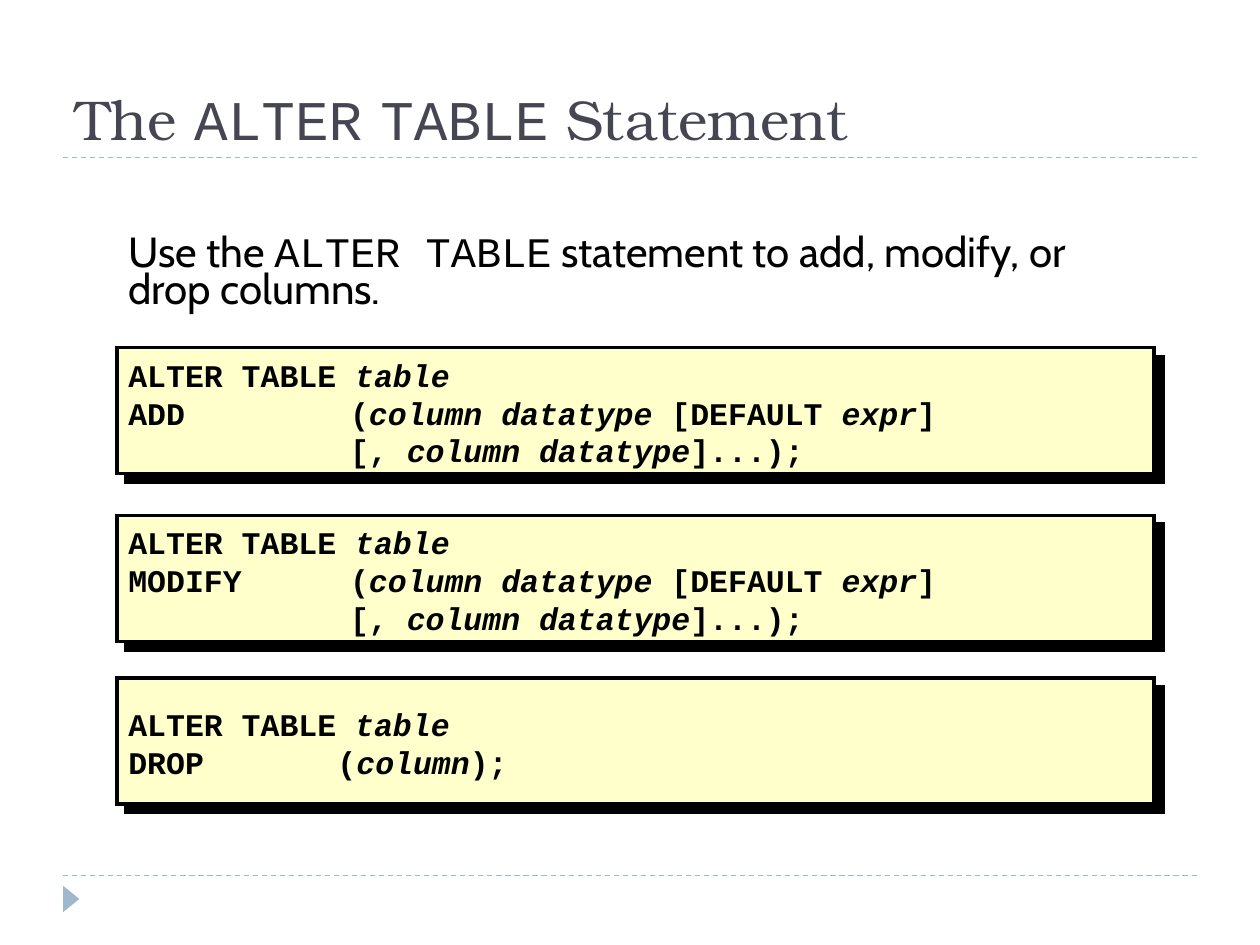
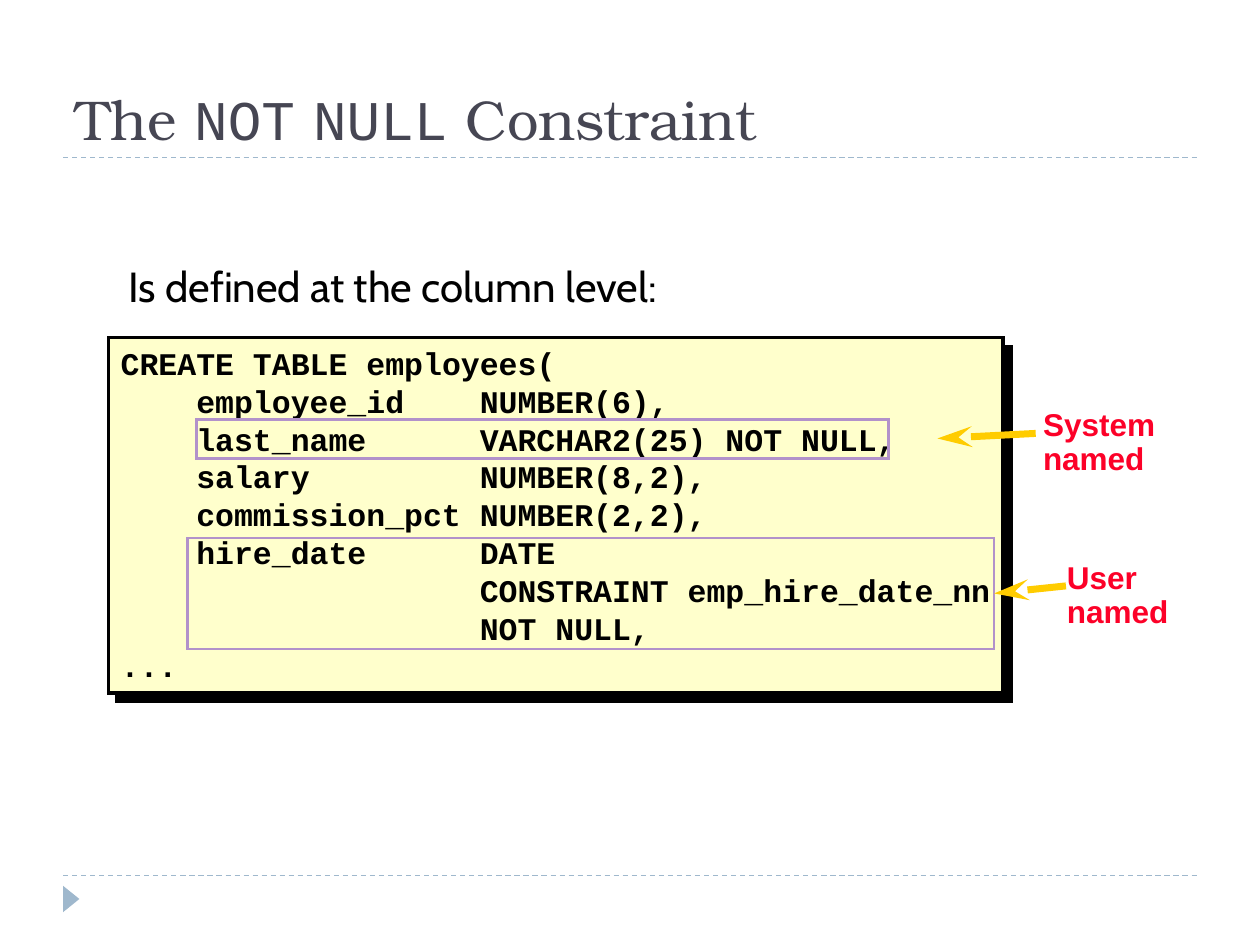
from dataclasses import dataclass

from lxml import etree
from pptx import Presentation
from pptx import util as u
from pptx.dml.color import RGBColor
from pptx.enum import dml, shapes, text
from pptx.oxml import ns


@dataclass(frozen=True)
class Theme:
    ink: str = "000000"
    heading: str = "464653"
    accent: str = "9FB8CD"
    panel: str = "FFFFCC"
    highlight: str = "B292CA"
    arrow: str = "FFCC00"
    callout: str = "FC0128"
    title_font: str = "TeX Gyre Bonum"
    body_font: str = "Cabin"
    code_font: str = "Courier New"
    label_font: str = "Arial"
    title_size: float = 32
    body_size: float = 24
    code_size: float = 18


def add_xml(parent, tag, **attributes):
    return etree.SubElement(parent, ns.qn(tag), attributes)


def inches(*lengths):
    return [u.Inches(length) for length in lengths]


def write(frame, content, *, font, size, color, bold=None, alternate=None,
          spacing=None, before=None, tabs=()):
    base = {"name": font, "size": u.Pt(size), "bold": bold}
    for index, line in enumerate(content.split("\n")):
        paragraph = frame.paragraphs[0] if index == 0 else frame.add_paragraph()
        paragraph.alignment = text.PP_ALIGN.LEFT
        if spacing is not None:
            paragraph.line_spacing = spacing
        if before is not None:
            paragraph.space_before = u.Pt(before)
        if tabs:
            stops = add_xml(paragraph._p.get_or_add_pPr(), "a:tabLst")
            for stop in tabs:
                add_xml(stops, "a:tab", pos=str(u.Inches(stop)), algn="l")
        for part, words in enumerate(line.split("|")):
            if not words:
                continue
            run = paragraph.add_run()
            run.text = words
            styling = base | (alternate or {}) if part % 2 else base
            for attribute, value in styling.items():
                setattr(run.font, attribute, value)
            run.font.color.rgb = RGBColor.from_string(color)


class Deck:
    def __init__(self, theme):
        self.theme = theme
        self.presentation = Presentation()
        self.presentation.slide_width = u.Inches(10)
        self.presentation.slide_height = u.Inches(7.5)
        self.slide = None

    def new_slide(self, title):
        theme = self.theme
        self.slide = self.presentation.slides.add_slide(
            self.presentation.slide_layouts[6])
        for y in (6.95, 1.25):
            rule = self.line((0.5, y), (9.5, y), theme.accent, 0.75)
            rule.line.dash_style = dml.MSO_LINE.DASH
        marker = self.shape((0.46, 7.07, 0.21, 0.13), fill=theme.accent,
                            kind=shapes.MSO_SHAPE.ISOSCELES_TRIANGLE)
        marker.rotation = 90
        self.text((0.5, 0.17, 9, 1.08), title, anchor=text.MSO_ANCHOR.BOTTOM,
                  font=theme.title_font, size=theme.title_size,
                  color=theme.heading, alternate={"name": theme.code_font})

    def text(self, box, content, anchor=text.MSO_ANCHOR.TOP, **style):
        frame = self.slide.shapes.add_textbox(*inches(*box)).text_frame
        frame.word_wrap = True
        frame.vertical_anchor = anchor
        write(frame, content, **style)

    def body(self, box, content, **style):
        theme = self.theme
        self.text(box, content, font=theme.body_font, size=theme.body_size,
                  color=theme.ink, alternate={"name": theme.code_font}, **style)

    def code(self, box, content, tabs):
        theme = self.theme
        self.text(box, content, anchor=text.MSO_ANCHOR.MIDDLE,
                  font=theme.code_font, size=theme.code_size, color=theme.ink,
                  bold=True, alternate={"italic": True}, tabs=tabs)

    def callout(self, box, content):
        theme = self.theme
        self.text(box, content, font=theme.label_font, size=theme.code_size,
                  color=theme.callout, bold=True, spacing=0.9)

    def shape(self, box, fill=None, outline=None, weight=1,
              kind=shapes.MSO_SHAPE.RECTANGLE):
        shape = self.slide.shapes.add_shape(kind, *inches(*box))
        if fill:
            shape.fill.solid()
            shape.fill.fore_color.rgb = RGBColor.from_string(fill)
        else:
            shape.fill.background()
        if outline:
            shape.line.color.rgb = RGBColor.from_string(outline)
            shape.line.width = u.Pt(weight)
            add_xml(shape.line._get_or_add_ln(), "a:miter", lim="800000")
        else:
            shape.line.fill.background()
        shape.shadow.inherit = False
        return shape

    def panel(self, box):
        panel = self.shape(box, self.theme.panel, self.theme.ink, 2)
        effects = panel._element.spPr.find(ns.qn("a:effectLst"))
        shadow = add_xml(effects, "a:outerShdw", dist=str(u.Pt(7.1)),
                         dir="2700000", algn="ctr", rotWithShape="0")
        add_xml(shadow, "a:srgbClr", val=self.theme.ink)

    def highlight(self, box):
        return self.shape(box, outline=self.theme.highlight, weight=1.5)

    def line(self, start, end, color, weight):
        line = self.slide.shapes.add_connector(
            shapes.MSO_CONNECTOR.STRAIGHT, *inches(*start, *end))
        line.line.color.rgb = RGBColor.from_string(color)
        line.line.width = u.Pt(weight)
        add_xml(line._element.spPr, "a:effectLst")
        return line

    def arrow(self, tip, tail):
        arrow = self.line(tip, tail, self.theme.arrow, 4)
        add_xml(arrow.line._get_or_add_ln(), "a:headEnd",
                type="stealth", w="med", len="lg")
        return arrow


def alter_table(deck):
    deck.new_slide("The |ALTER| |TABLE| Statement")
    deck.body((0.92, 1.83, 8.17, 0.72),
              "Use the |ALTER TABLE| statement to add, modify, or\ndrop columns.",
              spacing=0.75)
    columns = ("\t(|column datatype |[DEFAULT |expr|]\n"
               "\t[, |column datatype|]...);")
    statements = [
        (2.76, "ADD" + columns, 1.76),
        (4.09, "MODIFY" + columns, 1.76),
        (5.38, "DROP\t(|column|);", 1.66),
    ]
    for top, clause, tab in statements:
        deck.panel((0.93, top, 8.23, 1))
        deck.code((0.92, top, 7.98, 1.03), "ALTER TABLE |table|\n" + clause, [tab])


def not_null(deck):
    deck.new_slide("The |NOT| |NULL| Constraint")
    deck.panel((0.86, 2.68, 7.1, 2.82))
    definition = [
        "CREATE TABLE employees(",
        "\temployee_id\tNUMBER(6),",
        "\tlast_name\tVARCHAR2(25) NOT NULL,",
        "\tsalary\tNUMBER(8,2),",
        "\tcommission_pct\tNUMBER(2,2),",
        "\thire_date\tDATE",
        "\t\tCONSTRAINT emp_hire_date_nn",
        "\t\tNOT NULL,",
        "...",
    ]
    deck.code((0.86, 2.71, 7.4, 2.74), "\n".join(definition), [0.6, 2.85])
    deck.body((0.92, 2.02, 8.08, 0.45), "Is defined at the column level:", before=6)
    deck.highlight((1.56, 3.33, 5.49, 0.31))
    hire_date = deck.highlight((1.49, 4.27, 6.4, 0.88))
    deck.callout((8.18, 3.2, 1.66, 0.64), "System\nnamed")
    deck.arrow((7.44, 3.48), (8.22, 3.44))
    deck.callout((8.37, 4.41, 1.2, 0.64), "User\nnamed")
    user_arrow = deck.arrow((7.89, 4.71), (8.46, 4.65))
    user_arrow.begin_connect(hire_date, 3)


def main():
    deck = Deck(Theme())
    alter_table(deck)
    not_null(deck)
    deck.presentation.save("out.pptx")


if __name__ == "__main__":
    main()
